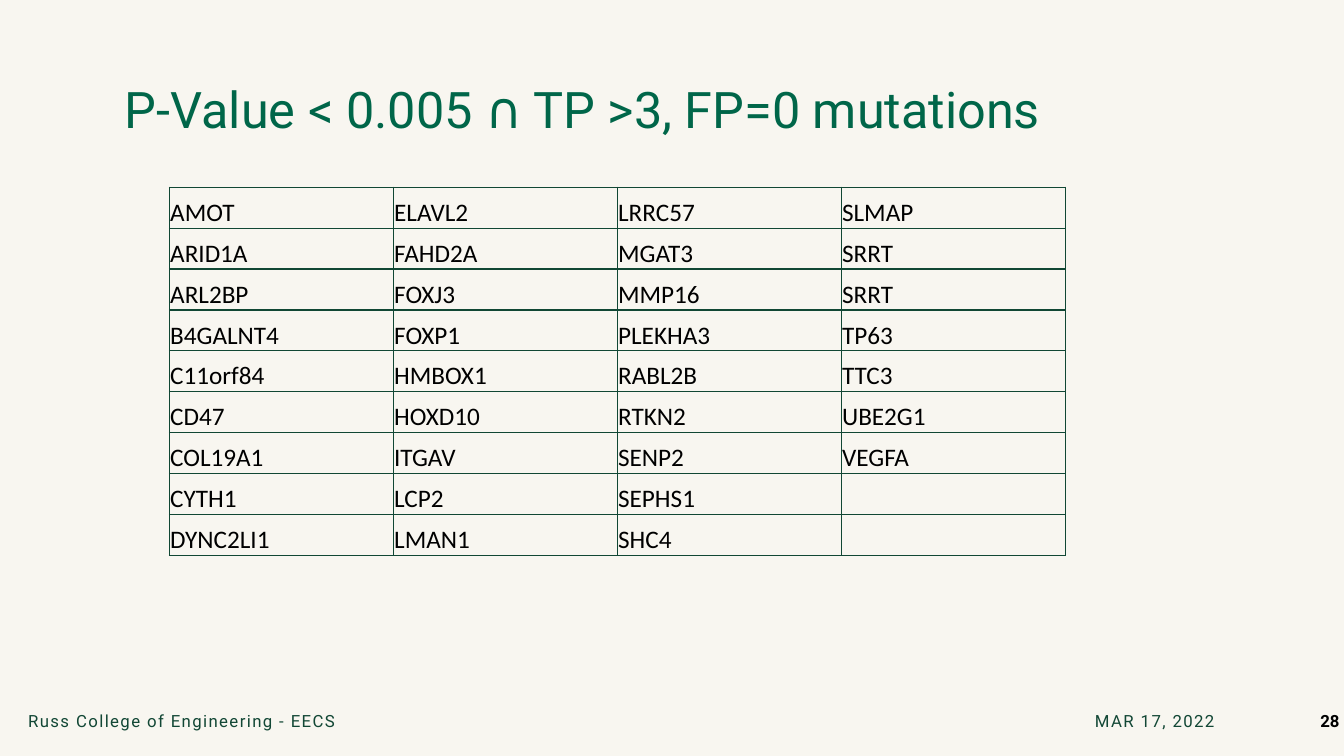
from dataclasses import dataclass

from lxml import etree
from pptx import Presentation
from pptx.dml.color import RGBColor
from pptx.enum import text
from pptx.oxml import ns
from pptx.util import Cm, Pt

PAPER = RGBColor(0xF8, 0xF6, 0xF0)
TITLE_GREEN = RGBColor(0x00, 0x66, 0x49)
FOOTER_GREEN = RGBColor(0x12, 0x47, 0x35)
BORDER_GREEN = RGBColor(0x11, 0x47, 0x34)
BLACK = RGBColor(0x00, 0x00, 0x00)

FOOTER_TOP, FOOTER_HEIGHT = 17.65, 1.02
COLUMN_WIDTH, ROW_HEIGHT = 5.645, 1.03

GENE_COLUMNS = [
    "AMOT ARID1A ARL2BP B4GALNT4 C11orf84 CD47 COL19A1 CYTH1 DYNC2LI1".split(),
    "ELAVL2 FAHD2A FOXJ3 FOXP1 HMBOX1 HOXD10 ITGAV LCP2 LMAN1".split(),
    "LRRC57 MGAT3 MMP16 PLEKHA3 RABL2B RTKN2 SENP2 SEPHS1 SHC4".split(),
    "SLMAP SRRT SRRT TP63 TTC3 UBE2G1 VEGFA".split(),
]


@dataclass
class Label:
    wording: str
    left: float
    width: float
    top: float = FOOTER_TOP
    height: float = FOOTER_HEIGHT
    size: int = 12
    color: RGBColor = FOOTER_GREEN
    bold: bool = False
    align: text.PP_ALIGN = text.PP_ALIGN.LEFT
    anchor: text.MSO_ANCHOR = text.MSO_ANCHOR.MIDDLE
    line_points: int = 0
    tracking: int = 0


LABELS = [
    Label("P-Value < 0.005 ∩ TP >3, FP=0 mutations", 2.9, 29.87, 1.88, 1.73,
          size=36, color=TITLE_GREEN, anchor=text.MSO_ANCHOR.BOTTOM, line_points=40),
    Label("MAR 17, 2022", 22.83, 8.03, align=text.PP_ALIGN.RIGHT, tracking=100),
    Label("Russ College of Engineering - EECS", 0.46, 22.17, tracking=100),
    Label("28", 32.77, 1.24, color=BLACK, bold=True, align=text.PP_ALIGN.RIGHT),
]


def style_font(para, name: str, size: int, color: RGBColor, bold: bool = False) -> None:
    font = para.font
    font.name, font.size, font.bold = name, Pt(size), bold
    font.color.rgb = color


def add_label(page, label: Label) -> None:
    box = page.shapes.add_textbox(
        Cm(label.left), Cm(label.top), Cm(label.width), Cm(label.height))
    frame = box.text_frame
    frame.word_wrap = True
    frame.vertical_anchor = label.anchor
    para = frame.paragraphs[0]
    para.alignment = label.align
    if label.line_points:
        para.line_spacing = Pt(label.line_points)
    span = para.add_run()
    span.text = label.wording
    if label.tracking:
        span._r.get_or_add_rPr().set("spc", str(label.tracking))
    style_font(para, "Roboto", label.size, label.color, label.bold)


def add_borders(cell) -> None:
    properties = cell._tc.get_or_add_tcPr()
    for side in ("a:lnL", "a:lnR", "a:lnT", "a:lnB"):
        line = etree.SubElement(properties, ns.qn(side), w=str(Pt(1)))
        fill = etree.SubElement(line, ns.qn("a:solidFill"))
        etree.SubElement(fill, ns.qn("a:srgbClr"), val=str(BORDER_GREEN))


def fill_cell(cell, gene: str) -> None:
    cell.margin_left = cell.margin_right = cell.margin_top = Cm(0.02)
    cell.margin_bottom = Cm(0)
    cell.vertical_anchor = text.MSO_ANCHOR.BOTTOM
    add_borders(cell)
    cell.fill.background()
    para = cell.text_frame.paragraphs[0]
    if gene:
        para.add_run().text = gene
    style_font(para, "Calibri", 18, BLACK)


def add_gene_table(page) -> None:
    row_count, column_count = len(GENE_COLUMNS[0]), len(GENE_COLUMNS)
    table = page.shapes.add_table(
        row_count, column_count, Cm(4.27), Cm(4.72),
        Cm(COLUMN_WIDTH * column_count), Cm(ROW_HEIGHT * row_count)).table
    table.first_row = table.horz_banding = False
    for row in table.rows:
        row.height = Cm(ROW_HEIGHT)
    for column_index, genes in enumerate(GENE_COLUMNS):
        table.columns[column_index].width = Cm(COLUMN_WIDTH)
        for row_index in range(row_count):
            gene = genes[row_index] if row_index < len(genes) else ""
            fill_cell(table.cell(row_index, column_index), gene)


def main() -> None:
    deck = Presentation()
    deck.slide_width, deck.slide_height = Cm(33.87), Cm(19.05)
    page = deck.slides.add_slide(deck.slide_layouts[6])
    page.background.fill.solid()
    page.background.fill.fore_color.rgb = PAPER
    for label in LABELS:
        add_label(page, label)
    add_gene_table(page)
    deck.save("out.pptx")


if __name__ == "__main__":
    main()
